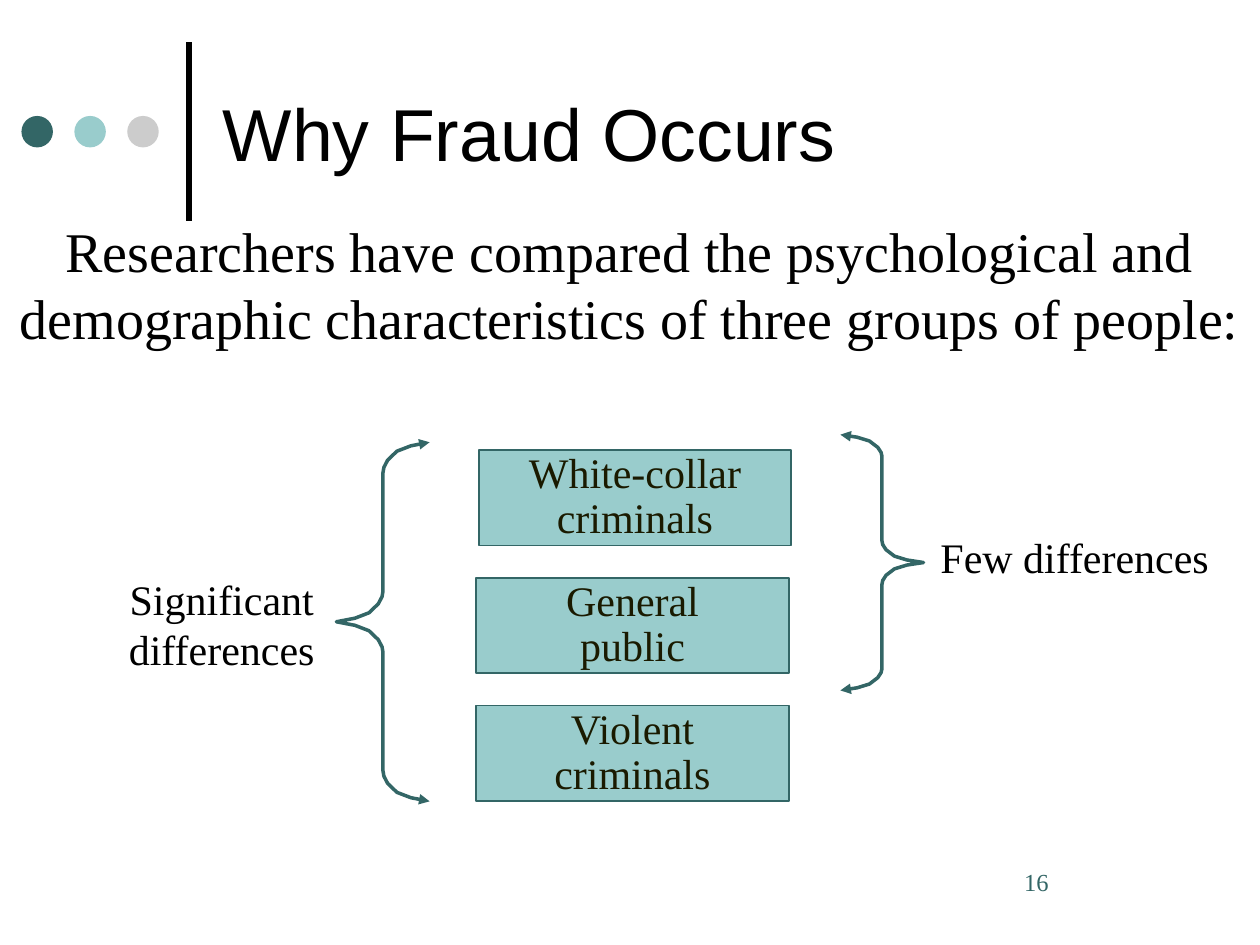
"""Build the "Why Fraud Occurs" slide on a grid of 100 columns by 75 rows."""
from lxml import etree
from pptx import Presentation
from pptx.dml.color import RGBColor
from pptx.enum.shapes import MSO_CONNECTOR, MSO_SHAPE
from pptx.enum.text import MSO_ANCHOR, PP_ALIGN
from pptx.oxml.ns import qn
from pptx.util import Inches, Pt

LEFT, CENTER = PP_ALIGN.LEFT, PP_ALIGN.CENTER
TOP, MIDDLE = MSO_ANCHOR.TOP, MSO_ANCHOR.MIDDLE
RECT, OVAL = MSO_SHAPE.RECTANGLE, MSO_SHAPE.OVAL
STRAIGHT = MSO_CONNECTOR.STRAIGHT

THEME = {
    "dark": "336666", "mid": "99CCCC", "light": "CCCCCC",
    "text": "000000", "box_text": "1A1A00",
    "head": "Arial", "body": "Times New Roman",
    "title": 42, "lead": 32, "label": 24, "number": 14,
}
W, H = Inches(10), Inches(7.5)
COLS, ROWS = 100, 75

TEXTS = [
    ("Why Fraud Occurs", (16.7, 2.1, 76.7, 16.7), "title", "head", "text", LEFT, MIDDLE),
    ("Researchers have compared the psychological and demographic "
     "characteristics of three groups of people:",
     (0, 16.7, 100, 11.6), "lead", "body", "text", CENTER, TOP),
    ("Few differences", (72.5, 41.7, 25.6, 5), "label", "body", "text", CENTER, TOP),
    ("Significant differences", (4.8, 45, 25.6, 9), "label", "body", "text", CENTER, TOP),
    ("16", (80.3, 68.3, 11.8, 5), "number", "body", "dark", LEFT, TOP),
]
GROUPS = [
    (38, ("White-collar", "criminals")),
    (37.8, ("General", "public")),
    (37.8, ("Violent", "criminals")),
]
BOX_W, BOX_H, BOX_TOP, BOX_PITCH = 24.8, 7.6, 35.7, 10.15
DOTS = ["dark", "mid", "light"]
DOT_LEFT, DOT_TOP, DOT_SIZE, DOT_PITCH = 1.7, 9.2, 2.5, 4.2
BRACES = [(34.1, 35.1, -7.4, 28.5), (66.7, 34.5, 6.6, 20.3)]
CURVE = [(0, 0), (0.1, 0.01), (0.2, 0.02), (0.35, 0.05),
         (0.45, 0.1), (0.49, 0.14), (0.5, 0.17)]


def x(cols):
    return int(W * cols / COLS)


def y(rows):
    return int(H * rows / ROWS)


def place(left, top, width, height):
    return x(left), y(top), x(width), y(height)


def color(name):
    return RGBColor.from_string(THEME[name])


def write(sp, lines, size, font, tint, align, anchor):
    tf = sp.text_frame
    tf.vertical_anchor = anchor
    for i, line in enumerate(lines):
        p = tf.paragraphs[0] if i == 0 else tf.add_paragraph()
        p.text = line
        p.alignment = align
        p.font.size = Pt(THEME[size])
        p.font.name = THEME[font]
        p.font.color.rgb = color(tint)
    return tf


def add_text(slide, text, area, *style):
    sp = slide.shapes.add_textbox(*place(*area))
    write(sp, [text], *style).word_wrap = True


def add_shape(slide, kind, area, fill):
    sp = slide.shapes.add_shape(kind, *place(*area))
    sp.shadow.inherit = False
    sp.fill.solid()
    sp.fill.fore_color.rgb = color(fill)
    sp.line.fill.background()
    return sp


def add_group(slide, row, left, lines):
    area = (left, BOX_TOP + row * BOX_PITCH, BOX_W, BOX_H)
    sp = add_shape(slide, RECT, area, "mid")
    sp.line.color.rgb = color("dark")
    sp.line.width = Pt(1)
    tf = write(sp, lines, "label", "body", "box_text", CENTER, MIDDLE)
    tf.word_wrap = False
    for p in tf.paragraphs:
        p.line_spacing = 0.9


def add_brace(slide, left, top, width, height):
    quarter = CURVE + [(1 - u, 1 - v) for u, v in reversed(CURVE)]
    outline = quarter + [(u, 2 - v) for u, v in reversed(quarter[:-1])]
    points = [(x(left + u * width), y(top + v * height / 2)) for u, v in outline]
    builder = slide.shapes.build_freeform(*points[0])
    builder.add_line_segments(points[1:], close=False)
    sp = builder.convert_to_shape()
    sp.shadow.inherit = False
    sp.fill.background()
    sp.line.color.rgb = color("dark")
    sp.line.width = Pt(2)
    ln = sp.line._get_or_add_ln()
    for end in ("a:headEnd", "a:tailEnd"):
        etree.SubElement(ln, qn(end), type="triangle")


def add_rule(slide):
    line = slide.shapes.add_connector(STRAIGHT, x(15), y(17.5), x(15), y(3.3))
    line.line.color.rgb = color("text")
    line.line.width = Pt(3)
    etree.SubElement(line._element.spPr, qn("a:effectLst"))


def main():
    prs = Presentation()
    prs.slide_width, prs.slide_height = W, H
    slide = prs.slides.add_slide(prs.slide_layouts[6])
    add_rule(slide)
    for i, fill in enumerate(DOTS):
        area = (DOT_LEFT + i * DOT_PITCH, DOT_TOP, DOT_SIZE, DOT_SIZE)
        add_shape(slide, OVAL, area, fill)
    for row, (left, lines) in enumerate(GROUPS):
        add_group(slide, row, left, lines)
    for brace in BRACES:
        add_brace(slide, *brace)
    for text in TEXTS:
        add_text(slide, *text)
    prs.save("out.pptx")


if __name__ == "__main__":
    main()
